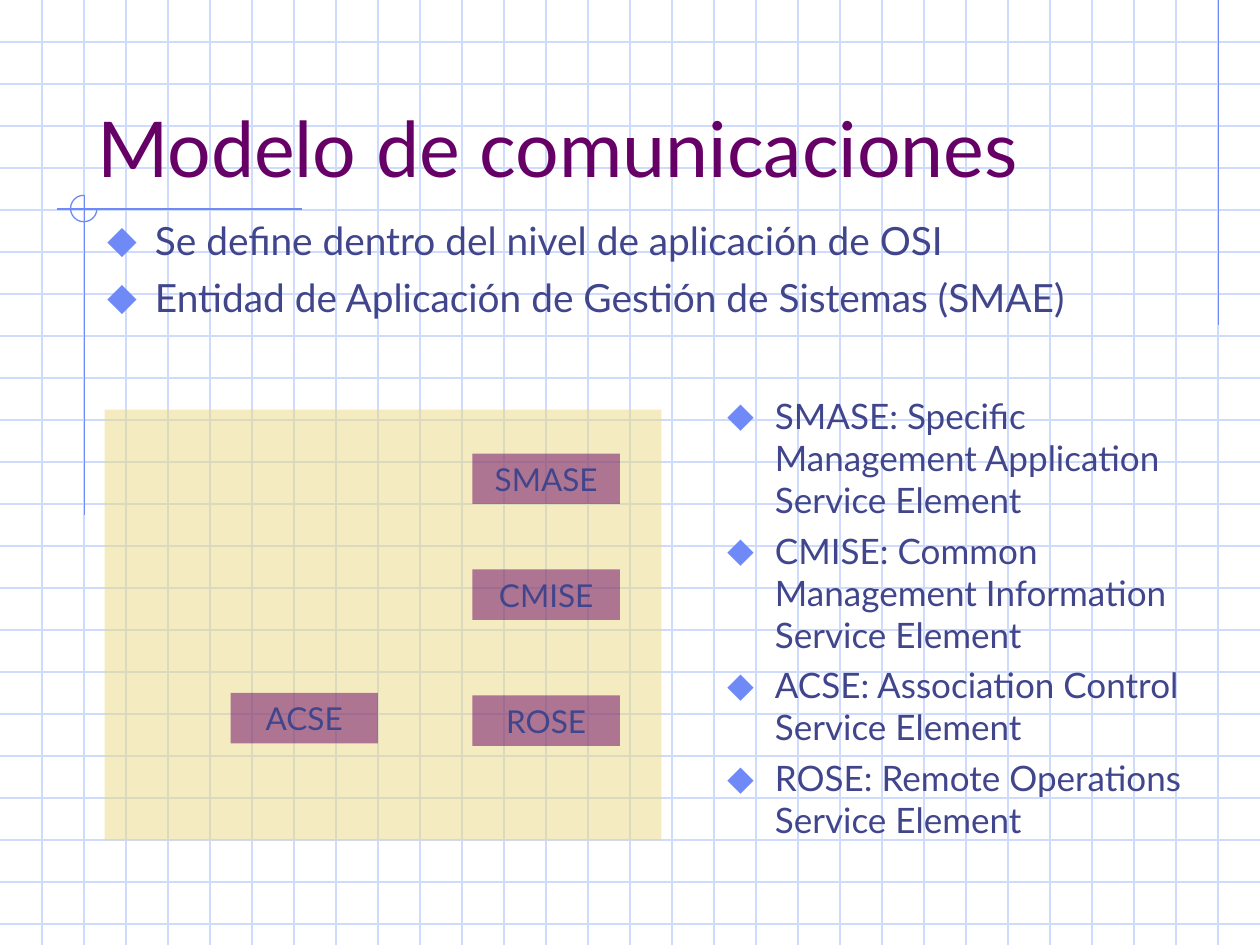
from lxml.etree import SubElement
from pptx import Presentation
from pptx.dml.color import RGBColor
from pptx.enum.shapes import MSO_CONNECTOR, MSO_SHAPE
from pptx.enum.text import MSO_ANCHOR, MSO_AUTO_SIZE, PP_ALIGN
from pptx.oxml.ns import qn
from pptx.util import Inches, Pt

FONT = "Lato"
GRID, ACCENT, INK, PURPLE, SAND = "CFDBFD", "6F89F7", "40458C", "660066", "ECD882"
WIDTH, HEIGHT, STEP = 10, 7.5, 1 / 3

TITLE = "Modelo de comunicaciones"
# text, place, font size, space before
LISTS = [
    (["Se define dentro del nivel de aplicación de OSI",
      "Entidad de Aplicación de Gestión de Sistemas (SMAE)"],
     (0.75, 1.67, 8.5, 1), 22.2, 6),
    (["SMASE: Specific Management Application Service Element",
      "CMISE: Common Management Information Service Element",
      "ACSE: Association Control Service Element",
      "ROSE: Remote Operations Service Element"],
     (5.67, 3.08, 4.17, 3.42), 20, 5),
]
PANEL = (0.83, 3.25, 4.42, 3.42)
BOX_SIZE = (1.17, 0.4)
BOXES = [("SMASE", 3.75, 3.6), ("CMISE", 3.75, 4.52),
         ("ROSE", 3.75, 5.52), ("ACSE", 1.83, 5.5)]
ACCENT_LINES = [(9.67, 0, 9.67, 2.58), (2.4, 1.66, 0.45, 1.66), (0.67, 1.55, 0.67, 4.09)]
RING = (0.56, 1.55, 0.21, 0.21)


def rgb(color):
    return RGBColor.from_string(color)


def inches(values):
    return [Inches(v) for v in values]


def add_line(s, ends, color):
    line = s.shapes.add_connector(MSO_CONNECTOR.STRAIGHT, *inches(ends))
    line.line.color.rgb = rgb(color)
    line.line.width = Pt(0.75)
    SubElement(line._element.spPr, qn("a:effectLst"))


def add_rect(s, place, color):
    """Add a borderless, half-transparent rectangle."""
    rect = s.shapes.add_shape(MSO_SHAPE.RECTANGLE, *inches(place))
    rect.shadow.inherit = False
    rect.line.fill.background()
    rect.fill.solid()
    rect.fill.fore_color.rgb = rgb(color)
    srgb = rect._element.spPr.find(".//" + qn("a:srgbClr"))
    SubElement(srgb, qn("a:alpha"), val="50000")
    return rect


def write(p, text, size, color, align=PP_ALIGN.LEFT):
    p.alignment = align
    r = p.add_run()
    r.text = text
    for name, value in {"name": FONT, "size": Pt(size)}.items():
        setattr(r.font, name, value)
    r.font.color.rgb = rgb(color)


def add_bullet(p, space):
    p.space_before = Pt(space)
    pPr = p._p.get_or_add_pPr()
    pPr.set("marL", str(Inches(0.38)))
    pPr.set("indent", str(-Inches(0.38)))
    SubElement(SubElement(pPr, qn("a:buClr")), qn("a:srgbClr"), val=ACCENT)
    SubElement(pPr, qn("a:buSzPct"), val="110000")
    SubElement(pPr, qn("a:buChar"), char="⬥")


def set_up(ph, place, anchor):
    """Place a placeholder in front of the shapes drawn so far."""
    ph.left, ph.top, ph.width, ph.height = inches(place)
    tf = ph.text_frame
    tf.word_wrap = True
    tf.auto_size = MSO_AUTO_SIZE.NONE
    tf.vertical_anchor = anchor
    ph._element.getparent().append(ph._element)
    return tf


def main():
    prs = Presentation()
    prs.slide_width, prs.slide_height = inches((WIDTH, HEIGHT))
    s = prs.slides.add_slide(prs.slide_layouts.get_by_name("Two Content"))
    title, *bodies = [ph for ph in s.placeholders if ph.placeholder_format.idx < 3]

    for i in range(1, 23):
        add_line(s, (0, i * STEP, WIDTH, i * STEP), GRID)
    for i in range(1, 30):
        add_line(s, (i * STEP, 0, i * STEP, HEIGHT), GRID)
    for ends in ACCENT_LINES:
        add_line(s, ends, ACCENT)

    ring = s.shapes.add_shape(MSO_SHAPE.ARC, *inches(RING))
    ring.adjustments[0], ring.adjustments[1] = 0, 162  # from the right, clockwise to the top
    ring.shadow.inherit = False
    ring.fill.background()
    ring.line.color.rgb = rgb(ACCENT)
    ring.line.width = Pt(0.75)

    tf = set_up(title, (0.67, 0.33, 8.5, 1.25), MSO_ANCHOR.BOTTOM)
    write(tf.paragraphs[0], TITLE, 44, PURPLE)
    for body, (items, place, size, space) in zip(bodies, LISTS):
        tf = set_up(body, place, MSO_ANCHOR.TOP)
        for i, item in enumerate(items):
            p = tf.add_paragraph() if i else tf.paragraphs[0]
            write(p, item, size, INK)
            add_bullet(p, space)

    add_rect(s, PANEL, SAND)
    for name, left, top in BOXES:
        box = add_rect(s, (left, top, *BOX_SIZE), PURPLE)
        write(box.text_frame.paragraphs[0], name, 18, INK, PP_ALIGN.CENTER)

    prs.save("out.pptx")


if __name__ == "__main__":
    main()
